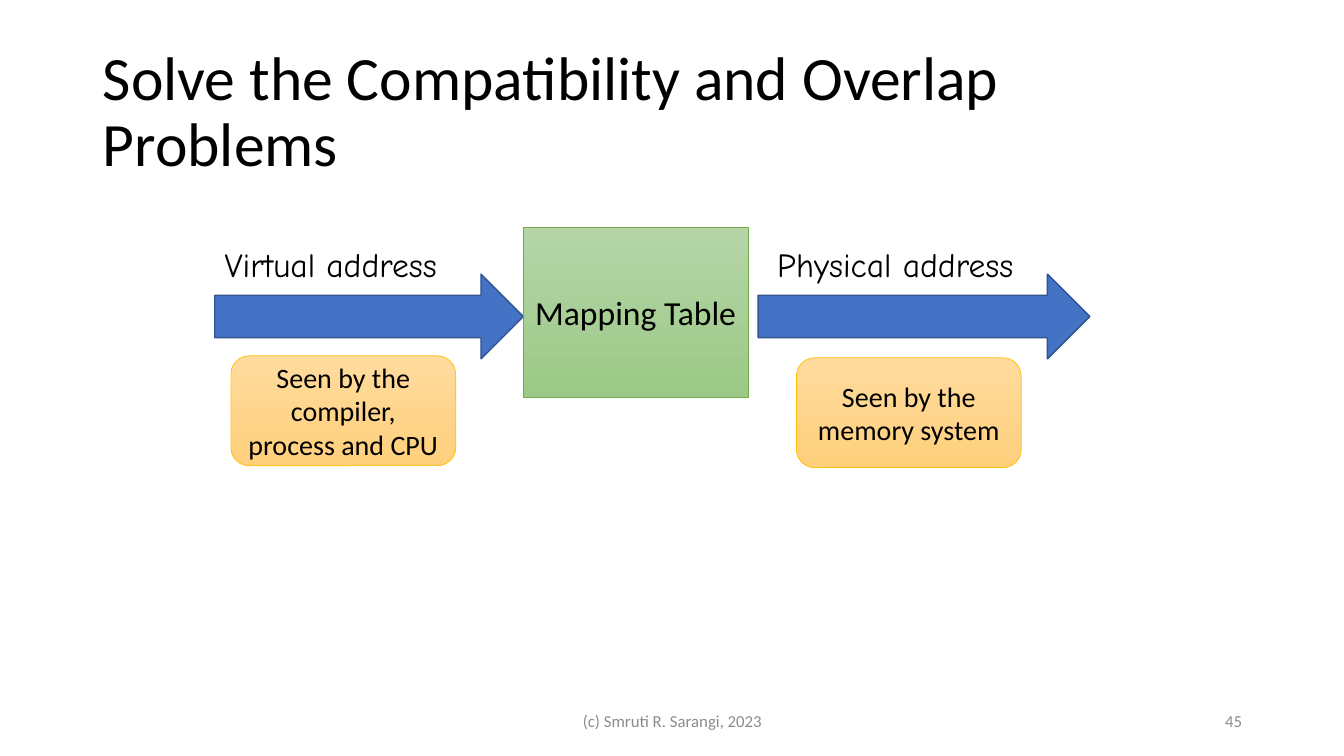
from pptx import Presentation
from pptx.dml.color import RGBColor
from pptx.enum.shapes import MSO_SHAPE as Shape
from pptx.enum.text import MSO_ANCHOR as Anchor, MSO_AUTO_SIZE as AutoSize, PP_ALIGN as Align
from pptx.util import Inches, Pt

BLACK = RGBColor(0x00, 0x00, 0x00)
GREY = RGBColor(0x8C, 0x8C, 0x8C)
BLUE = RGBColor(0x44, 0x72, 0xC4)
DARK_BLUE = RGBColor(0x32, 0x54, 0x91)
GOLD = RGBColor(0xFF, 0xC0, 0x00)
GOLD_FADE = (RGBColor(0xFF, 0xDB, 0x9E), RGBColor(0xFF, 0xD0, 0x7C))
GREEN = RGBColor(0x70, 0xAD, 0x47)
GREEN_FADE = (RGBColor(0xB5, 0xD5, 0xA7), RGBColor(0x9C, 0xC9, 0x87))

BODY_FONT = "Calibri"
LABEL_FONT = "Comic Neue"


def write(box, text, size=24, font=BODY_FONT, color=BLACK, align=Align.LEFT,
          anchor=Anchor.MIDDLE, wrap=True, auto_size=AutoSize.NONE, spacing=None):
    frame = box.text_frame
    frame.word_wrap = wrap
    frame.auto_size = auto_size
    frame.vertical_anchor = anchor
    para = frame.paragraphs[0]
    para.alignment = align
    para.line_spacing = spacing
    span = para.add_run()
    span.text = text
    span.font.size = Pt(size)
    span.font.name = font
    span.font.color.rgb = color


class Page:
    """Places elements by percentages of the slide: left, top, width, height."""

    def __init__(self, deck):
        self.width, self.height = deck.slide_width, deck.slide_height
        self.slide = deck.slides.add_slide(deck.slide_layouts[5])
        self.shapes = self.slide.shapes

    def place(self, left, top, width, height):
        return (int(self.width * left / 100), int(self.height * top / 100),
                int(self.width * width / 100), int(self.height * height / 100))

    def title(self, text, *area):
        box = self.shapes.title
        box.left, box.top, box.width, box.height = self.place(*area)
        write(box, text, size=44, spacing=0.9)

    def text(self, text, *area, **style):
        write(self.shapes.add_textbox(*self.place(*area)), text, **style)

    def footer(self, text, left, width, align):
        self.text(text, left, 92.67, width, 5.33, size=12, color=GREY, align=align)

    def label(self, text, left, width):
        self.text(text, left, 31.6, width, 6.67, font=LABEL_FONT,
                  anchor=Anchor.TOP, wrap=False, auto_size=AutoSize.SHAPE_TO_FIT_TEXT)

    def shape(self, kind, area, line, weight):
        box = self.shapes.add_shape(kind, *self.place(*area))
        box.shadow.inherit = False
        box.line.color.rgb = line
        box.line.width = Pt(weight)
        return box

    def arrow(self, left, width):
        box = self.shape(Shape.RIGHT_ARROW, (left, 36.27, width, 11.2), DARK_BLUE, 1)
        box.fill.solid()
        box.fill.fore_color.rgb = BLUE

    def faded_box(self, kind, text, area, fade, line, size):
        box = self.shape(kind, area, line, 0.5)
        box.fill.gradient()
        box.fill.gradient_angle = 270
        for stop, color in zip(box.fill.gradient_stops, fade):
            stop.color.rgb = color
        write(box, text, size=size, align=Align.CENTER)

    def note(self, text, left, top):
        self.faded_box(Shape.ROUNDED_RECTANGLE, text, (left, top, 16.73, 14.53),
                       GOLD_FADE, GOLD, 20)


def main():
    deck = Presentation()
    deck.slide_width, deck.slide_height = Inches(13.33), Inches(7.5)
    page = Page(deck)

    # Title and footer
    page.title("Solve the Compatibility and Overlap Problems", 6.9, 5.33, 86.25, 19.33)
    page.footer("(c) Smruti R. Sarangi, 2023", 33.16, 33.75, Align.CENTER)
    page.footer("45", 70.67, 22.5, Align.RIGHT)

    # Virtual side
    page.arrow(15.98, 22.96)
    page.label("Virtual address", 15.98, 19.58)
    page.note("Seen by the compiler, process and CPU", 17.18, 47.07)

    # Mapping between the two sides
    page.faded_box(Shape.RECTANGLE, "Mapping Table", (38.93, 30.13, 16.73, 22.4),
                   GREEN_FADE, GREEN, 24)

    # Physical side
    page.arrow(56.41, 24.68)
    page.label("Physical address", 57.09, 20.85)
    page.note("Seen by the memory system", 59.26, 47.33)

    deck.save("out.pptx")


if __name__ == "__main__":
    main()
